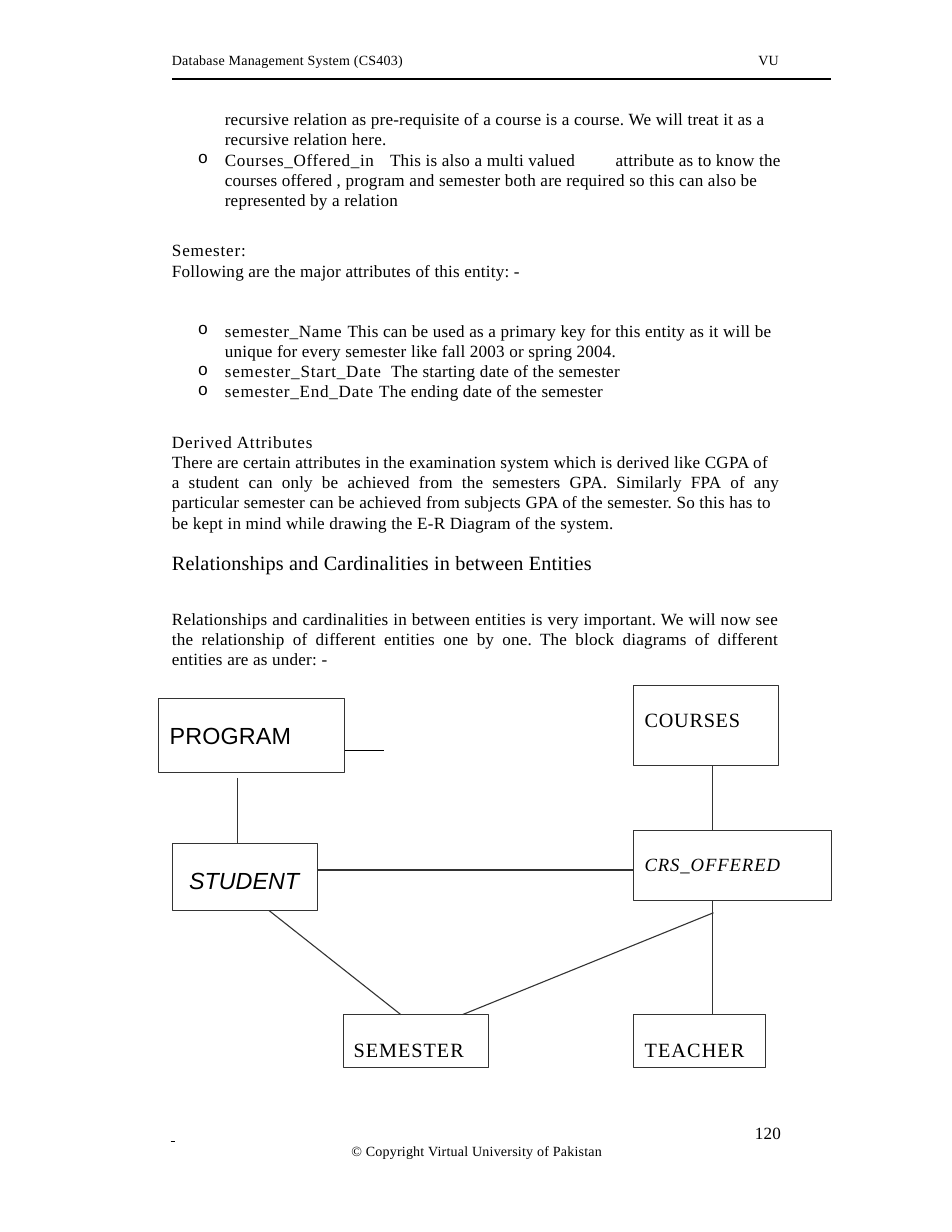
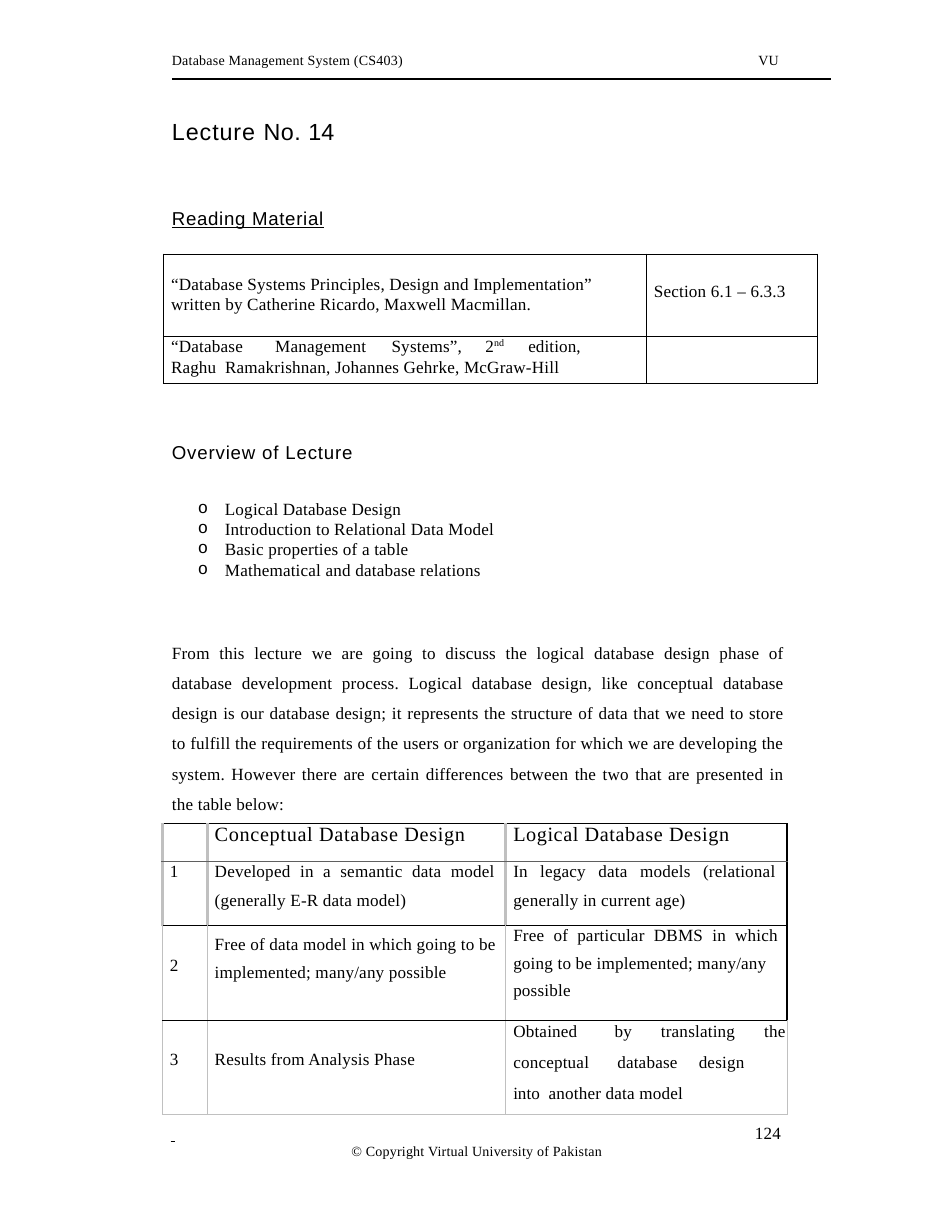
"""Builds two handout pages on entities and logical database design."""
from lxml import etree
from pptx import Presentation
from pptx.dml.color import RGBColor
from pptx.enum.shapes import MSO_CONNECTOR, MSO_SHAPE
from pptx.enum.text import MSO_ANCHOR, MSO_AUTO_SIZE, PP_ALIGN
from pptx.oxml.ns import qn
from pptx.util import Cm, Pt

LEFT, CENTER, JUST = PP_ALIGN.LEFT, PP_ALIGN.CENTER, PP_ALIGN.JUSTIFY
TOP, FIXED = MSO_ANCHOR.TOP, MSO_AUTO_SIZE.NONE
RECT, STRAIGHT = MSO_SHAPE.RECTANGLE, MSO_CONNECTOR.STRAIGHT
BLACK = RGBColor(0x00, 0x00, 0x00)
DARK = RGBColor(0x33, 0x33, 0x33)
GREY = RGBColor(0x5F, 0x5F, 0x5F)
PALE = RGBColor(0xC0, 0xC0, 0xC0)
TIMES, ARIAL, MONO = "Times New Roman", "Arial", "Courier New"
EDGE, WIDE = 3.9, 13.9
INDENT, HANG = 1.2, 0.61

COURSE = [("Database Management System (CS403)", 0.14)]
OWNER = [("© Copyright Virtual University of Pakistan", 0.13)]


def point(*runs, **more):
    """Describe a bulleted paragraph."""
    return dict(text=runs, indent=INDENT, bullet=True, **more)


def spread(text, *gaps):
    """Split a line into runs whose word gaps are widened."""
    words = text.split()
    gaps = gaps if len(gaps) > 1 else gaps * len(words)
    runs = [(words[0], 0.1)]
    for gap, word in zip(gaps, words[1:]):
        runs += [(" ", gap), (word, 0.1)]
    return runs


ENTITY = [
    dict(text="recursive relation as pre-requisite of a course is a course. "
         "We will treat it as a recursive relation here.", indent=INDENT),
    point(("Courses_Offered_in", 0.4), (" ", 7), ("This is also a multi valued", 0.1),
          (" ", 23), ("attribute as to know the\vcourses offered , program and "
                      "semester both are required so this can also be represented "
                      "by a relation", 0.1)),
    dict(text=[("Semester:", 0.5)], before=19.2),
    dict(text="Following are the major attributes of this entity: -"),
    point(("semester_Name ", 0.4),
          ("This can be used as a primary key for this entity as it will be unique "
           "for every semester like fall 2003 or spring 2004.", 0.1), before=25.6),
    point(("semester_Start_Date", 0.5), (" ", 3), ("The starting date of the semester", 0.1)),
    point(("semester_End_Date ", 0.45), ("The ending date of the semester", 0.1)),
    dict(text=[("Derived Attributes", 0.5)], before=19.3),
    dict(text=[("There are certain attributes in the examination system which is "
                "derived like CGPA of\v", 0.1),
               *spread("a student can only be achieved from the semesters GPA. "
                       "Similarly FPA of any", 3),
               ("\vparticular semester can be achieved from subjects GPA of the "
                "semester. So this has to\vbe kept in mind while drawing the E-R "
                "Diagram of the system.", 0.1)]),
]
RELATE = "Relationships and Cardinalities in between Entities"
BLOCKS = [dict(text="Relationships and cardinalities in between entities is very "
               "important. We will now see\vthe relationship of different entities one "
               "by one. The block diagrams of different\ventities are as under: -",
               align=JUST)]

BOXES = [
    ("PROGRAM", 3.6, 15.85, 4.22, 1.68, 0.25, dict(size=15, face=ARIAL), 0.1),
    ("COURSES", 14.37, 15.54, 3.29, 1.83, 0.25, dict(size=13), 0.5),
    ("STUDENT", 3.91, 19.13, 3.29, 1.52, 0.38, dict(size=15, face=ARIAL, slant=True), 0),
    ("CRS_OFFERED", 14.37, 18.83, 4.49, 1.6, 0.25, dict(size=12, slant=True), 0.6),
    ("SEMESTER", 7.79, 23.01, 3.3, 1.21, 0.23, dict(size=13), 0.65),
    ("TEACHER", 14.37, 23.01, 3, 1.21, 0.25, dict(size=13), 0.75),
]
LINKS = [
    (7.82, 17.02, 8.71, 17.02, BLACK),
    (5.38, 17.64, 5.38, 19.13, DARK),
    (7.19, 19.73, 14.37, 19.73, DARK),
    (6.1, 20.65, 9.09, 23.01, DARK),
    (10.49, 23.01, 16.18, 20.7, DARK),
    (16.15, 20.42, 16.15, 23.01, DARK),
    (16.15, 17.37, 16.15, 18.82, DARK),
]

LECTURE = [("Lecture ", 0.6), ("No. ", 0.3), ("14", 0)]
TOPICS = ["Logical Database Design", "Introduction to Relational Data Model",
          "Basic properties of a table", "Mathematical and database relations"]
INTRO = [dict(text="From this lecture we are going to discuss the logical database "
              "design phase of\vdatabase development process. Logical database design, "
              "like conceptual database\vdesign is our database design; it represents "
              "the structure of data that we need to store\vto fulfill the requirements "
              "of the users or organization for which we are developing the\vsystem. "
              "However there are certain differences between the two that are "
              "presented in\vthe table below:", align=JUST)]

BOOKS = [
    [(0.45, [dict(text="“Database Systems Principles, Design and Implementation”\v"
                  "written by Catherine Ricardo, Maxwell Macmillan.")]),
     (0.62, [dict(text="Section 6.1 – 6.3.3")])],
    [(0, [dict(text=[*spread("“Database Management Systems”, 2", 17.8, 13.3, 12),
                     ("nd", 0.1, 37000), (" ", 12.7), ("edition,\vRaghu", 0.05),
                     (" ", 2.8), ("Ramakrishnan, Johannes Gehrke, McGraw-Hill", 0.12)])]),
     (0, [])],
]
DESIGNS = [
    [(0, []),
     (0, [dict(text=[("Conceptual Database Design", 0.45)])]),
     (0, [dict(text=[("Logical Database Design", 0.4)])])],
    [(0.02, [dict(text="1")]),
     (0.02, [dict(text=spread("Developed in a semantic data model", 3.3)),
             dict(text="(generally E-R data model)", before=6.2)]),
     (0.02, [dict(text=spread("In legacy data models (relational", 5.2)),
             dict(text="generally in current age)", before=6.2)])],
    [(0.69, [dict(text="2")]),
     (0.22, [dict(text="Free of data model in which going to be"),
             dict(text="implemented; many/any possible", before=5.4)]),
     (0.02, [dict(text=spread("Free of particular DBMS in which", 3.1)),
             dict(text="going to be implemented; many/any", before=5.5),
             dict(text="possible", before=5.5)])],
    [(0.67, [dict(text="3")]),
     (0.67, [dict(text="Results from Analysis Phase")]),
     (0.04, [dict(text=spread("Obtained by translating the", 21, 15.8, 15.8)),
             dict(text=spread("conceptual database design", 15.2, 10.7), before=7.6),
             dict(text=[("into", 0), (" ", 2.8), ("another data model", 0.1)],
                  before=7.6)])],
]
THIN, FAINT, THICK = (BLACK, 0.72), (PALE, 0.72), (PALE, 2.04)
HEAVY, PLAIN = (BLACK, 1.5), (BLACK, 0.5)
LEVELS = [THIN, (GREY, 0.72), THIN, THIN, FAINT]
SIDES = [[THICK] * 3 + [HEAVY]] * 2 + [[FAINT] * 3 + [HEAVY], [FAINT] * 4]


def mark(para, indent=0, bullet=False):
    """Set the indent and bullet of a paragraph."""
    props = para._p.get_or_add_pPr()
    props.set("marL", str(Cm(indent)))
    props.set("indent", str(-Cm(HANG) if bullet else 0))
    if bullet:
        etree.SubElement(props, qn("a:buFont"), typeface=MONO)
        etree.SubElement(props, qn("a:buChar"), char="o")
    else:
        etree.SubElement(props, qn("a:buNone"))


def put(para, text, space=0.1, base=0):
    """Add a run with letter spacing, turning vertical tabs into line breaks."""
    for i, part in enumerate(text.split("\v")):
        if i:
            para.add_line_break()
        if not part:
            continue
        run = para.add_run()
        run.text = part
        props = run._r.get_or_add_rPr()
        props.set("spc", str(round(space * 100)))
        if base:
            props.set("baseline", str(base))


def fill(frame, paras, size=11, face=TIMES, line=None, under=None, slant=None):
    """Write paragraphs into a text frame."""
    for i, item in enumerate(paras):
        para = frame.add_paragraph() if i else frame.paragraphs[0]
        mark(para, item.get("indent", 0), item.get("bullet", False))
        para.alignment = item.get("align", LEFT)
        para.space_before = Pt(item.get("before", 0))
        if line:
            para.line_spacing = Pt(line)
        font = para.font
        font.name, font.size, font.color.rgb = face, Pt(size), BLACK
        font.underline, font.italic = under, slant
        text = item["text"]
        for run in [(text,)] if isinstance(text, str) else text:
            put(para, *run)


def clear(shape, left=0, top=0):
    """Strip a shape's text frame to plain wrapped text at the top."""
    frame = shape.text_frame
    frame.word_wrap, frame.auto_size = True, FIXED
    frame.vertical_anchor = TOP
    frame.margin_left, frame.margin_top = Cm(left), Cm(top)
    frame.margin_right = frame.margin_bottom = 0
    return frame


def place(shape, top, high, paras, **style):
    """Move a placeholder onto the text column and fill it."""
    shape.left, shape.top, shape.width, shape.height = map(Cm, (EDGE, top, WIDE, high))
    fill(clear(shape), paras, **style)


def write(slide, top, high, paras, left=EDGE, wide=WIDE, **style):
    """Add a text box."""
    box = slide.shapes.add_textbox(Cm(left), Cm(top), Cm(wide), Cm(high))
    fill(clear(box), paras, **style)


def link(slide, x1, y1, x2, y2, color, width=0.71):
    """Draw a straight line."""
    line = slide.shapes.add_connector(STRAIGHT, Cm(x1), Cm(y1), Cm(x2), Cm(y2))
    line.line.color.rgb, line.line.width = color, Pt(width)
    etree.SubElement(line._element.spPr, qn("a:effectLst"))


def block(slide, name, left, top, wide, high, inset, style, space):
    """Draw one entity of the diagram."""
    shape = slide.shapes.add_shape(RECT, Cm(left), Cm(top), Cm(wide), Cm(high))
    shape.shadow.inherit = False
    shape.fill.background()
    shape.line.color.rgb, shape.line.width = DARK, Pt(0.71)
    fill(clear(shape, inset, 0.51), [dict(text=[(name, space)])], **style)


def border(cell, *sides):
    """Draw the left, right, top and bottom borders of a cell."""
    props = cell._tc.get_or_add_tcPr()
    for i, (tag, (color, width)) in enumerate(zip("LRTB", sides)):
        line = etree.Element(qn("a:ln" + tag), w=str(Pt(width)))
        paint = etree.SubElement(line, qn("a:solidFill"))
        etree.SubElement(paint, qn("a:srgbClr"), val=str(color))
        props.insert(i, line)


def grid(slide, left, top, cols, rows, data, levels, sides, inset, line=None, head=11):
    """Add a table with its borders."""
    shape = slide.shapes.add_table(len(rows), len(cols), Cm(left), Cm(top),
                                   Cm(sum(cols)), Cm(sum(rows)))
    table = shape.table
    table.first_row = table.horz_banding = False
    for col, wide in zip(table.columns, cols):
        col.width = Cm(wide)
    for r, high in enumerate(rows):
        table.rows[r].height = Cm(high)
        for c, (drop, paras) in enumerate(data[r]):
            cell = table.cell(r, c)
            cell.margin_left, cell.margin_top = Cm(inset), Cm(drop)
            cell.margin_right = cell.margin_bottom = 0
            cell.fill.background()
            border(cell, sides[r][c], sides[r][c + 1], levels[r], levels[r + 1])
            fill(cell.text_frame, paras, size=11 if r else head, line=line)


def page(deck, number):
    """Add a slide with the running header and footer."""
    slide = deck.slides.add_slide(deck.slide_layouts[1])
    write(slide, 1.17, 0.41, [dict(text=COURSE)], wide=6, size=9)
    write(slide, 1.17, 0.41, [dict(text="VU")], left=17.2, wide=0.8, size=9)
    link(slide, 3.9, 1.79, 18.85, 1.79, BLACK, 1.3)
    link(slide, 3.87, 25.88, 3.97, 25.88, BLACK)
    write(slide, 25.49, 0.43, [dict(text=str(number))], left=17.12, wide=0.8, line=12.1)
    write(slide, 25.92, 0.4, [dict(text=OWNER, align=CENTER)], left=3.86, size=9, line=10.6)
    return slide, slide.shapes.title, slide.placeholders[1]


def main():
    """Build and save both pages."""
    deck = Presentation()
    deck.slide_width, deck.slide_height = Cm(21.59), Cm(27.94)

    slide, title, body = page(deck, 120)
    place(title, 12.48, 0.6, [dict(text=RELATE)], size=13)
    place(body, 2.47, 9.7, ENTITY, line=13)
    write(slide, 13.8, 1.4, BLOCKS, wide=13.78, line=13)
    for box in BOXES:
        block(slide, *box)
    for ends in LINKS:
        link(slide, *ends)

    slide, title, body = page(deck, 124)
    place(title, 2.65, 0.66, [dict(text=LECTURE)], size=15, face=ARIAL)
    place(body, 11.31, 1.9, [point((topic,)) for topic in TOPICS], line=13)
    write(slide, 4.7, 0.53, [dict(text=[("Reading Material", 0.45)])],
          size=12, face=ARIAL, under=True)
    write(slide, 10.01, 0.53, [dict(text=[("Overview of Lecture", 0.55)])],
          size=12, face=ARIAL)
    write(slide, 14.35, 4.2, INTRO, line=19.4)
    grid(slide, 3.7, 5.76, [10.95, 3.89], [1.87, 1.07], BOOKS,
         [PLAIN] * 3, [[PLAIN] * 3] * 2, 0.18, line=13)
    grid(slide, 3.68, 18.68, [1.02, 6.77, 6.38], [0.86, 1.45, 2.15, 2.13], DESIGNS,
         LEVELS, SIDES, 0.17, head=13)
    deck.save("out.pptx")


if __name__ == "__main__":
    main()
